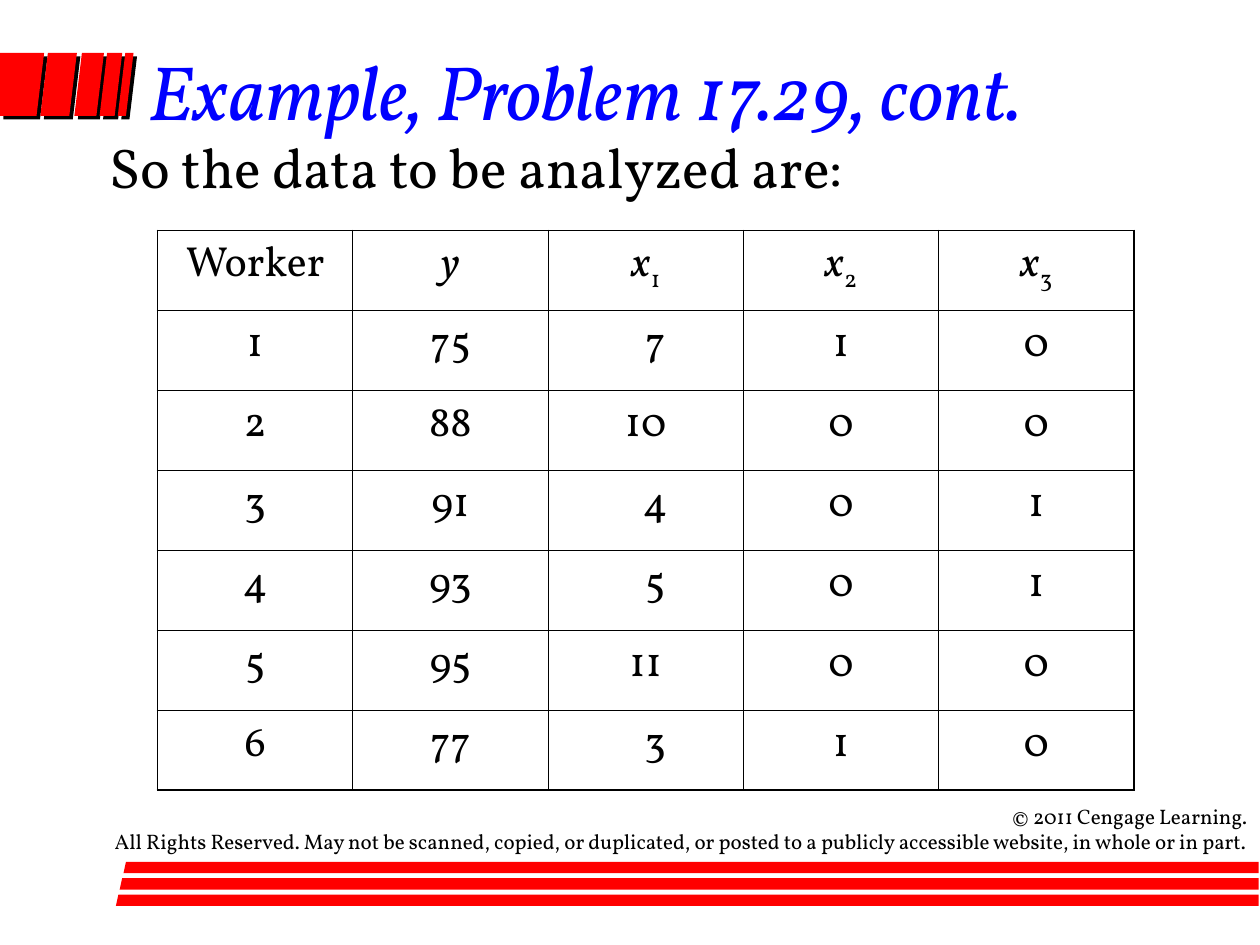
from dataclasses import dataclass

from lxml import etree
from pptx import Presentation
from pptx.dml.color import RGBColor
from pptx.enum.text import MSO_ANCHOR, PP_ALIGN
from pptx.oxml.ns import qn
from pptx.util import Emu, Inches, Pt

LEFT, CENTER, RIGHT = PP_ALIGN.LEFT, PP_ALIGN.CENTER, PP_ALIGN.RIGHT
TOP = MSO_ANCHOR.TOP
COLUMNS, ROWS = 100, 75  # page grid


@dataclass(frozen=True)
class Theme:
    font: str = "Vollkorn"
    accent: str = "FF0000"
    heading: str = "0000FF"
    ink: str = "000000"
    title_size: int = 44
    body_size: int = 32
    table_size: int = 24
    footer_size: int = 12
    outer_line: float = 1.08
    inner_line: float = 0.45


class PageBuilder:
    """Draws on one slide; lengths are columns and rows of the page grid."""

    def __init__(self, deck, theme):
        self.theme = theme
        self.page = deck.slides.add_slide(deck.slide_layouts[6])
        self.column = deck.slide_width / COLUMNS
        self.row = deck.slide_height / ROWS

    def x(self, columns):
        return Emu(round(columns * self.column))

    def y(self, rows):
        return Emu(round(rows * self.row))

    def area(self, left, top, width, height):
        return self.x(left), self.y(top), self.x(width), self.y(height)

    def style(self, para, size, color, align):
        para.alignment = align
        para.font.name = self.theme.font
        para.font.size = Pt(size)
        para.font.color.rgb = RGBColor.from_string(color)

    def text(self, area, lines, size, color, align=LEFT, italic=False, indent=0):
        box = self.page.shapes.add_textbox(*self.area(*area))
        frame = box.text_frame
        frame.word_wrap = True
        frame.vertical_anchor = TOP
        frame.margin_left = self.x(1 + indent)
        for index, line in enumerate(lines):
            para = frame.add_paragraph() if index else frame.paragraphs[0]
            para.text = line
            self.style(para, size, color, align)
            para.font.italic = italic

    def polygon(self, points, shadow=False):
        corners = [(self.x(column), self.y(row)) for column, row in points]
        builder = self.page.shapes.build_freeform(*corners[0])
        builder.add_line_segments(corners[1:], close=True)
        shape = builder.convert_to_shape()
        shape.shadow.inherit = False
        shape.fill.solid()
        shape.fill.fore_color.rgb = RGBColor.from_string(self.theme.accent)
        shape.line.fill.background()
        if shadow:
            effects = shape._element.spPr.find(qn("a:effectLst"))
            outer = etree.SubElement(effects, qn("a:outerShdw"), blurRad="0",
                                     dist=str(Pt(2.8)), dir="2700000",
                                     algn="ctr", rotWithShape="0")
            etree.SubElement(outer, qn("a:srgbClr"), val=self.theme.ink)

    def borders(self, cell, outer_sides):
        props = cell._tc.get_or_add_tcPr()
        for side in "LRTB":
            width = (self.theme.outer_line if side in outer_sides
                     else self.theme.inner_line)
            line = etree.SubElement(props, qn(f"a:ln{side}"), w=str(Pt(width)))
            fill = etree.SubElement(line, qn("a:solidFill"))
            etree.SubElement(fill, qn("a:srgbClr"), val=self.theme.ink)

    def heading_cell(self, para, symbol, subscript):
        span = para.add_run()
        span.text = symbol
        span.font.italic = len(symbol) == 1
        if subscript:
            span = para.add_run()
            span.text = subscript
            span._r.get_or_add_rPr().set("baseline", "-25000")

    def table(self, area, headings, records, nudged_column):
        row_count, column_count = len(records) + 1, len(headings)
        table = self.page.shapes.add_table(row_count, column_count,
                                           *self.area(*area)).table
        table.first_row = table.horz_banding = False
        for r, record in enumerate([headings, *records]):
            for c, value in enumerate(record):
                cell = table.cell(r, c)
                para = cell.text_frame.paragraphs[0]
                if r == 0:
                    self.heading_cell(para, *value)
                else:
                    para.text = str(value)
                    # Line single digits up with the units of longer numbers
                    if c == nudged_column and value < 10:
                        cell.margin_left = self.x(2.5)
                self.style(para, self.theme.table_size, self.theme.ink, CENTER)
                edges = {"L": c == 0, "R": c == column_count - 1,
                         "T": r == 0, "B": r == row_count - 1}
                self.borders(cell, [side for side, outer in edges.items() if outer])
                cell.fill.background()


def main():
    deck = Presentation()
    deck.slide_width, deck.slide_height = Inches(10), Inches(7.5)
    theme = Theme()
    page = PageBuilder(deck, theme)

    # Red slashes beside the title
    top, bottom, slant = 4.2, 9.2, 0.6
    page.polygon([(0, top), (3.5, top), (3.5 - slant, bottom), (0, bottom)],
                 shadow=True)
    for left, width in [(3.8, 2.3), (6.5, 1.75), (8.5, 1.2), (9.95, 0.65)]:
        right = left + width
        page.polygon([(left, top), (right, top), (right - slant, bottom),
                      (left - slant, bottom)], shadow=True)

    # Red bars at the foot
    for step in range(3):
        left, top = 9.2 + 0.3 * step, 71 - 1.3 * step
        bottom = top + 0.9
        page.polygon([(left, bottom), (99.9, bottom), (99.9, top),
                      (left + 0.2, top)])

    # Title and lead-in
    page.text((10.8, 3, 85, 12.9), ["Example, Problem 17.29, cont."],
              theme.title_size, theme.heading, italic=True)
    page.text((5.8, 10, 89.2, 50.1), ["So the data to be analyzed are:"],
              theme.body_size, theme.ink, indent=1.9)

    # Data table
    headings = [("Worker", ""), ("y", ""), ("x", "1"), ("x", "2"), ("x", "3")]
    records = [
        (1, 75, 7, 1, 0),
        (2, 88, 10, 0, 0),
        (3, 91, 4, 0, 1),
        (4, 93, 5, 0, 1),
        (5, 95, 11, 0, 0),
        (6, 77, 3, 1, 0),
    ]
    page.table((12.5, 18.3, 77.5, 44.4), headings, records, nudged_column=2)

    # Copyright
    page.text((0, 63.3, 100, 7),
              ["© 2011 Cengage Learning.",
               "All Rights Reserved. May not be scanned, copied, or duplicated, "
               "or posted to a publicly accessible website, in whole or in part."],
              theme.footer_size, theme.ink, RIGHT)

    deck.save("out.pptx")


if __name__ == "__main__":
    main()
